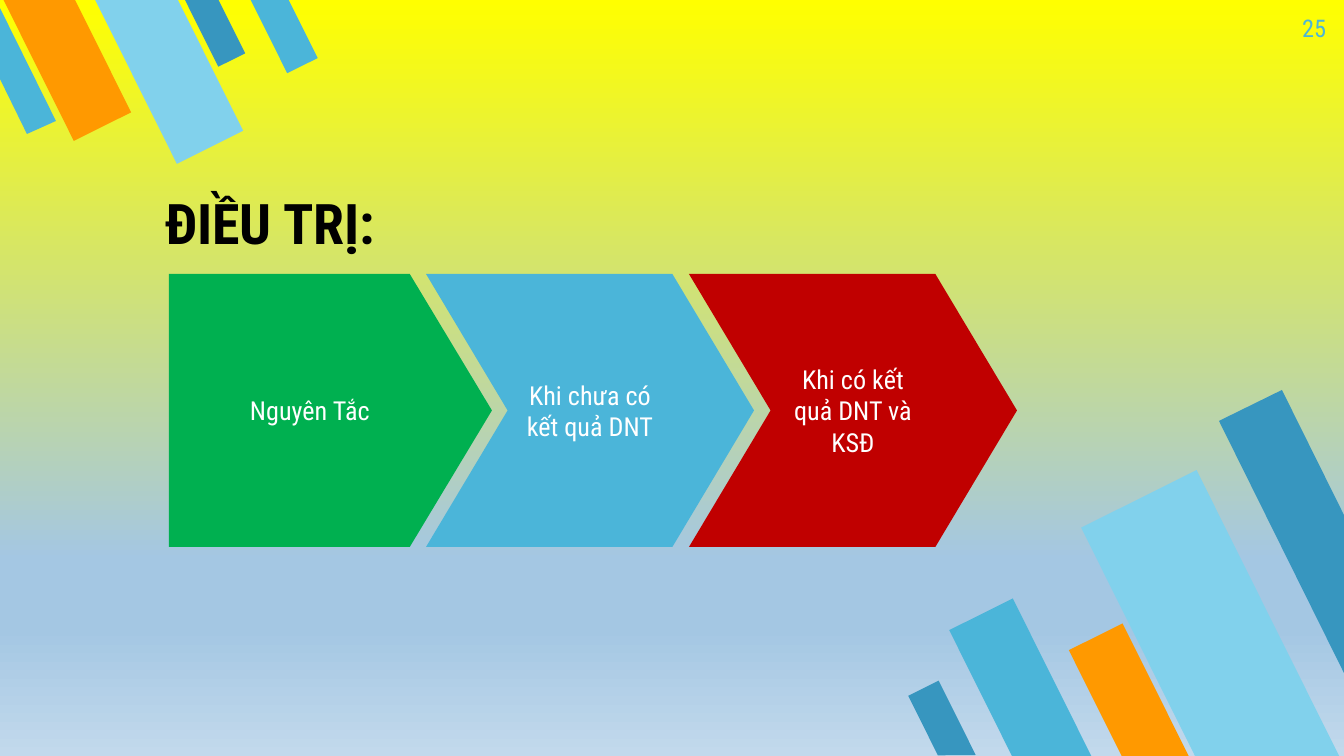
from lxml.etree import SubElement
from pptx import Presentation
from pptx.dml.color import RGBColor
from pptx.enum.shapes import MSO_SHAPE
from pptx.enum.text import MSO_ANCHOR, PP_ALIGN
from pptx.oxml.ns import qn
from pptx.util import Pt

PX = 914400 / 134.4
WIDTH, HEIGHT = 1344, 756

THEME = {
    "font": "Roboto Condensed",
    "black": "000000", "white": "FFFFFF",
    "sky": "4BB5D9", "pale": "81D1EC", "deep": "3796BF", "orange": "FF9900",
    "green": "00B050", "red": "C00000",
    "title": 30, "step": 14, "number": 13,
    "backdrop": [(0, "FFFF00"), (74, "A4C7E3"), (83, "A4C7E3"), (100, "C2D9EC")],
}

TITLE = ("ĐIỀU TRỊ:", (152, 169, 847, 100))
PAGE_NUMBER = ("25", (1258, 0, 81, 58))

# Steps: text, colour, preset, left, width, point depth
STEPS = [
    ("Nguyên Tắc", "green", MSO_SHAPE.PENTAGON, 169, 323, 0.301),
    ("Khi chưa có kết quả DNT", "sky", MSO_SHAPE.CHEVRON, 426, 328, 0.299),
    ("Khi có kết quả DNT và KSĐ", "red", MSO_SHAPE.CHEVRON, 689, 328, 0.299),
]
STEP_TOP, STEP_HEIGHT = 274, 273

# Slanted bars by corner: rotation, bars (colour, left, top, width, height), cut bar
CORNERS = [
    (153.5,
     [("sky", 985, 605, 71, 177), ("pale", 1146, 482, 129, 321),
      ("orange", 1099, 629, 60, 149), ("deep", 925, 684, 34, 83)],
     ("deep", [(1282, 390), (1219, 421), (1344, 673), (1344, 515)])),
    (333.5,
     [("deep", 200, -11, 30, 75), ("orange", 35, -24, 64, 159),
      ("pale", 132, -27, 74, 184), ("sky", 267, -13, 34, 83)],
     ("sky", [(27, 134), (56, 121), (0, 8), (0, 79)])),
]


def emu(*pixels):
    """Turn pixel lengths into EMU."""
    return [round(pixel * PX) for pixel in pixels]


def paint(shape, color):
    """Give a shape a flat fill with no line or shadow."""
    shape.shadow.inherit = False
    shape.fill.solid()
    shape.fill.fore_color.rgb = RGBColor.from_string(THEME[color])
    shape.line.fill.background()


def write(shape, text, size, color, bold=False,
          align=PP_ALIGN.LEFT, anchor=MSO_ANCHOR.TOP):
    """Put one formatted paragraph into a shape."""
    frame = shape.text_frame
    frame.word_wrap = True
    frame.vertical_anchor = anchor
    frame.margin_left, frame.margin_top, frame.margin_right, frame.margin_bottom = emu(*[13] * 4)
    para = frame.paragraphs[0]
    para.alignment = align
    span = para.add_run()
    span.text = text
    span.font.name = THEME["font"]
    span.font.size = Pt(THEME[size])
    span.font.bold = bold
    span.font.color.rgb = RGBColor.from_string(THEME[color])


def paint_backdrop(page):
    """Fill the page with the vertical gradient."""
    fill = page.background.fill
    fill.gradient()
    fill.gradient_angle = 270
    stops = next(page._element.iter(qn("a:gsLst")))
    for stop in list(stops):
        stops.remove(stop)
    for percent, color in THEME["backdrop"]:
        stop = SubElement(stops, qn("a:gs"), pos=str(percent * 1000))
        SubElement(stop, qn("a:srgbClr"), val=color)


def draw_corner(page, rotation, bars, cut_bar):
    """Draw the slanted bars of one corner."""
    for color, *frame in bars:
        bar = page.shapes.add_shape(MSO_SHAPE.FLOWCHART_MANUAL_INPUT, *emu(*frame))
        bar.rotation = rotation
        bar._element.spPr.find(qn("a:xfrm")).set("flipH", "1")
        paint(bar, color)
    color, points = cut_bar
    builder = page.shapes.build_freeform(*points[0], scale=PX)
    builder.add_line_segments(points[1:], close=True)
    paint(builder.convert_to_shape(), color)


def draw_step(page, text, color, preset, left, width, depth):
    """Draw one arrow of the process."""
    step = page.shapes.add_shape(preset, *emu(left, STEP_TOP, width, STEP_HEIGHT))
    step.adjustments[0] = depth
    paint(step, color)
    write(step, text, "step", "white", align=PP_ALIGN.CENTER, anchor=MSO_ANCHOR.MIDDLE)


def add_text(page, text, frame, **style):
    """Add a text box."""
    write(page.shapes.add_textbox(*emu(*frame)), text, **style)


deck = Presentation()
deck.slide_width, deck.slide_height = emu(WIDTH, HEIGHT)
page = deck.slides.add_slide(deck.slide_layouts[6])
paint_backdrop(page)
for corner in CORNERS:
    draw_corner(page, *corner)
add_text(page, *TITLE, size="title", color="black", bold=True, anchor=MSO_ANCHOR.BOTTOM)
for step in STEPS:
    draw_step(page, *step)
add_text(page, *PAGE_NUMBER, size="number", color="sky", align=PP_ALIGN.RIGHT)
deck.save("out.pptx")
